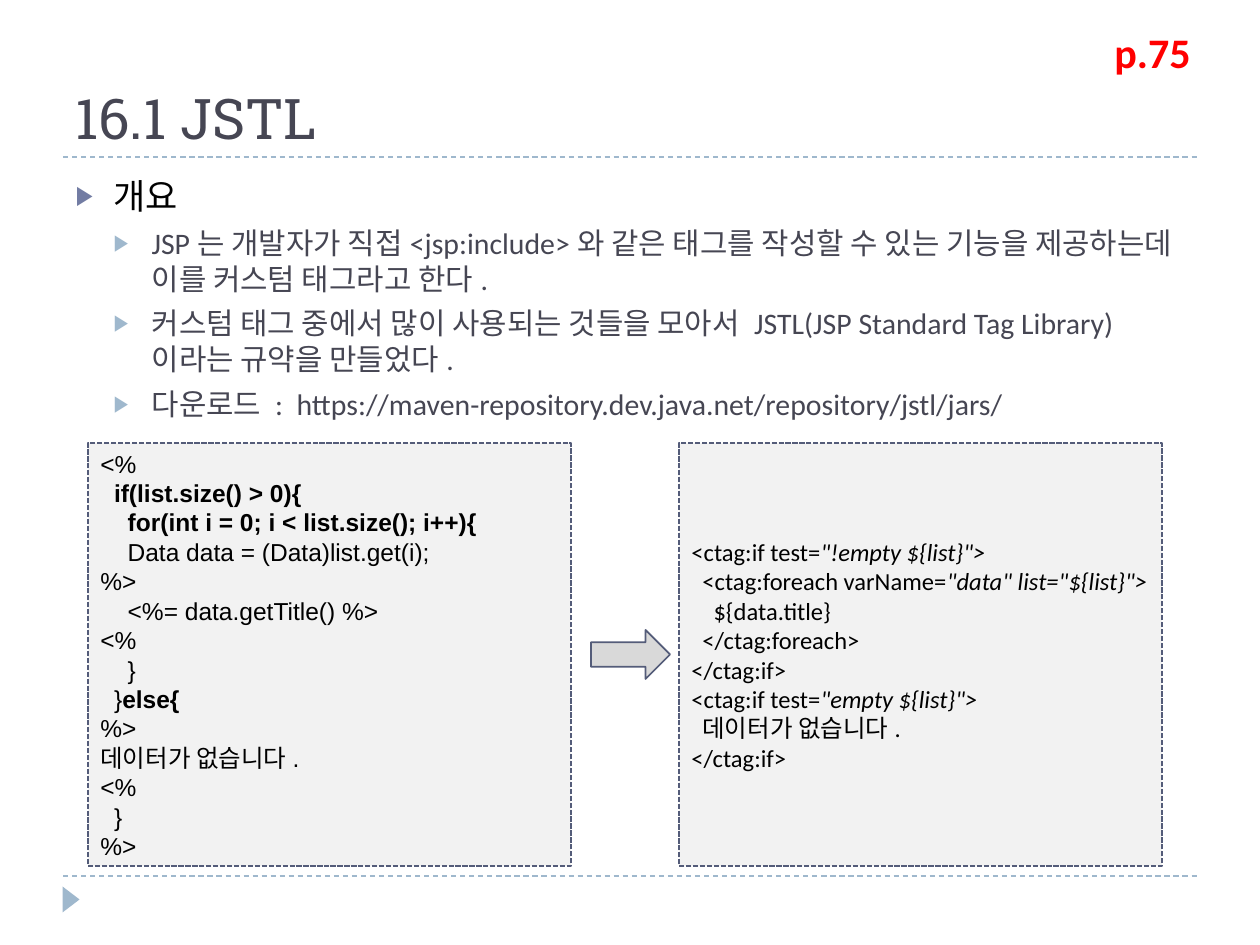
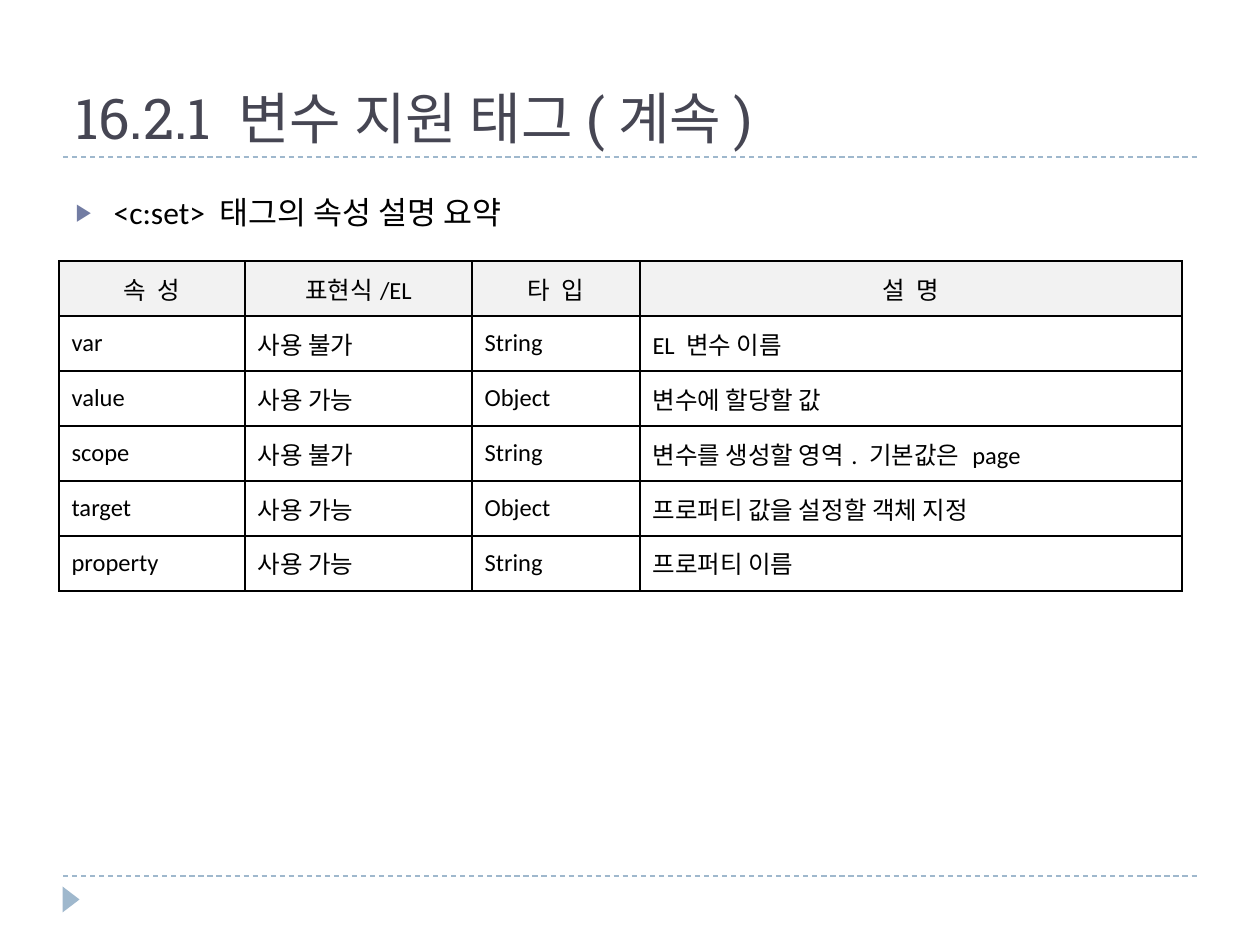
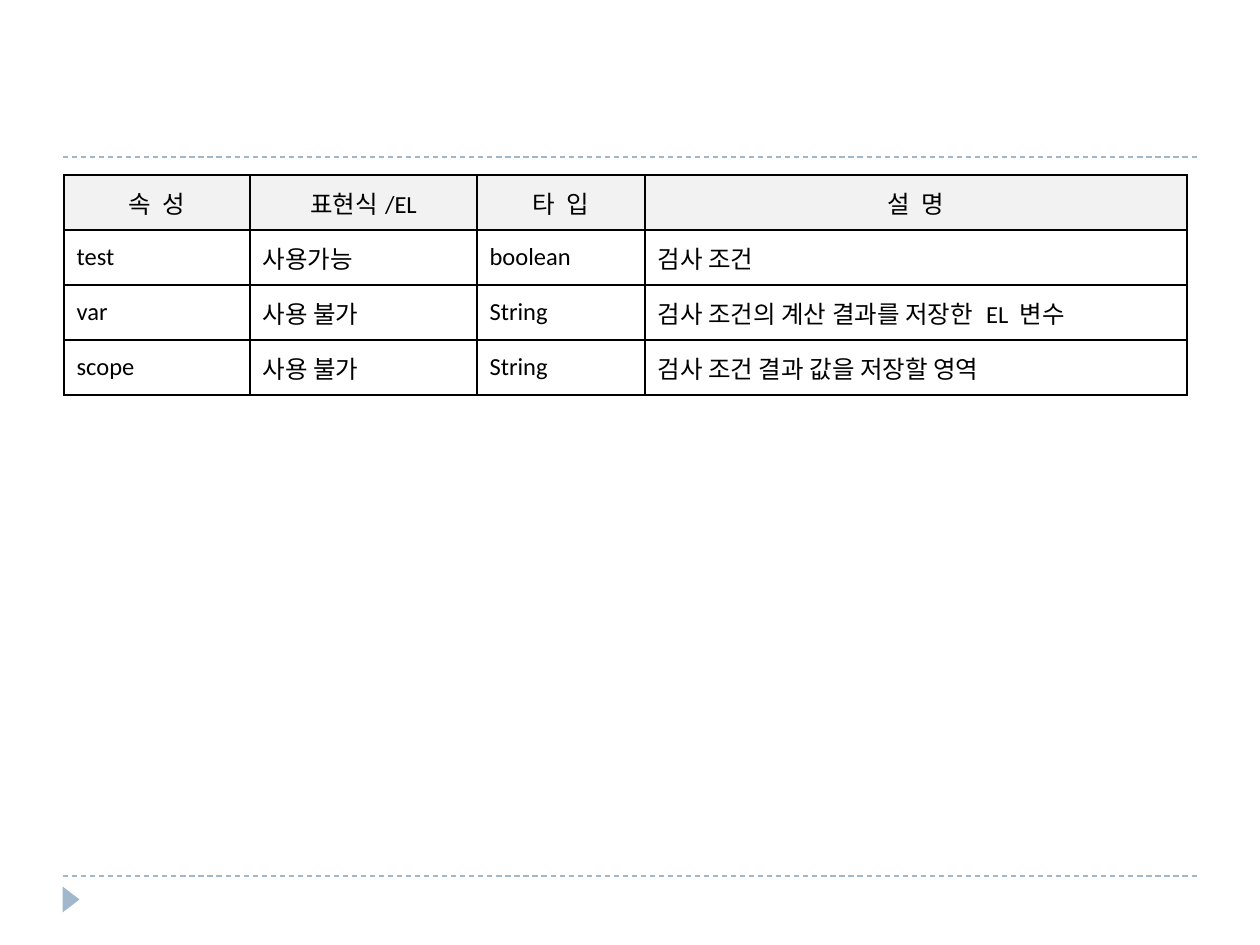
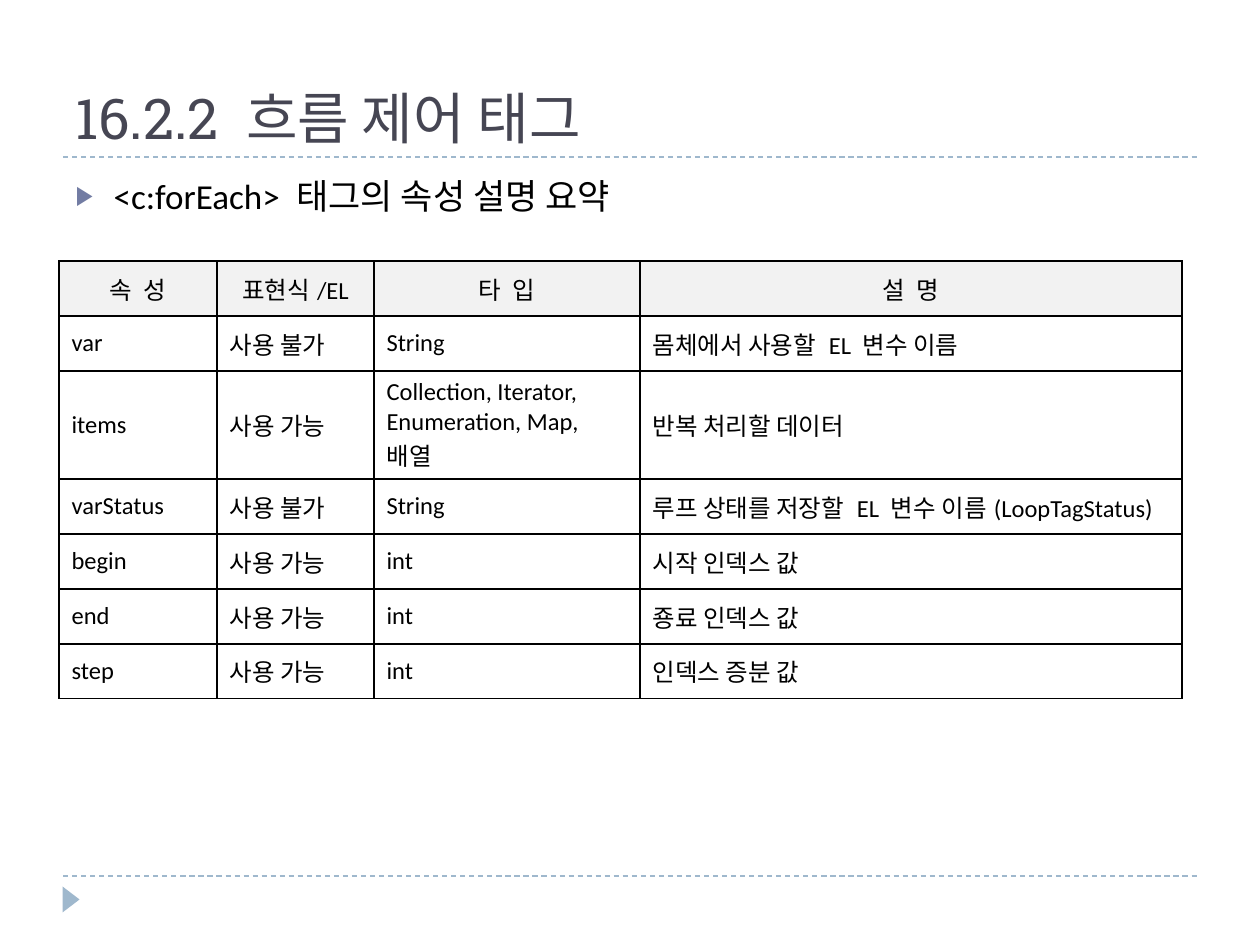
from lxml import etree
from pptx import Presentation
from pptx import util as u
from pptx.dml.color import RGBColor
from pptx.enum import dml, shapes, text
from pptx.oxml import ns

PX = 914400 / 126
SLIDE_W, SLIDE_H = 1260, 945

INK = RGBColor(0x46, 0x46, 0x53)
BLACK = RGBColor(0, 0, 0)
RED = RGBColor(0xFF, 0, 0)
PANEL = RGBColor(0xF2, 0xF2, 0xF2)
ARROW = RGBColor(0xD9, 0xD9, 0xD9)
OUTLINE = RGBColor(0x54, 0x5C, 0x79)
ACCENT = RGBColor(0x72, 0x7C, 0xA3)
PALE_BLUE = RGBColor(0x9F, 0xB8, 0xCD)

TITLE_FONT, BODY_FONT, CODE_FONT = "Roboto Slab", "Calibri", "Arial"
TITLE_BOX = (63, 21, 1134, 136)
BODY_BOX = (63, 168, 1134, 680)
RULE_TOPS = (157, 876)
BULLET_INDENT = 38
ROW_H = 55
# per list level: bullet colour, text colour, space before in points
LEVELS = ((ACCENT, BLACK, 6), (PALE_BLUE, INK, 5))

# "|" surrounds the emphasised part of a code line
JSP_CODE = """<%
  |if(list.size() > 0){|
    |for(int i = 0; i < list.size(); i++){|
    Data data = (Data)list.get(i);
%>
    <%= data.getTitle() %>
<%
    }
  }|else{|
%>
데이터가 없습니다.
<%
  }
%>"""
TAG_CODE = """<ctag:if test=|"!empty ${list}">|
  <ctag:foreach varName=|"data" list="${list}">|
    ${data.title}
  </ctag:foreach>
</ctag:if>
<ctag:if test=|"empty ${list}">|
  데이터가 없습니다.
</ctag:if>"""

HEADINGS = ("속  성", "표현식/EL", "타  입", "설  명")
WIDE_COLUMNS = (186, 227, 168, 542)

SLIDES = [
    {
        "title": "16.1 JSTL",
        "bullets": [
            (0, 20, "개요"),
            (1, 17, "JSP는 개발자가 직접<jsp:include>와 같은 태그를 작성할 수 있는 기능을 "
                    "제공하는데 이를 커스텀 태그라고 한다."),
            (1, 17, "커스텀 태그 중에서 많이 사용되는 것들을 모아서 "
                    "JSTL(JSP Standard Tag Library)이라는 규약을 만들었다."),
            (1, 17, "다운로드 :  https://maven-repository.dev.java.net/repository/jstl/jars/"),
        ],
        "code": [
            (JSP_CODE, (88, 443, 483, 423), CODE_FONT, "bold"),
            (TAG_CODE, (679, 443, 483, 423), BODY_FONT, "italic"),
        ],
        "arrow": (591, 630, 79, 49),
        "page": "p.75",
    },
    {
        "title": "16.2.1 변수 지원 태그(계속)",
        "bullets": [(0, 18, "<c:set> 태그의 속성 설명 요약")],
        "line_spacing": 1.5,
        "table": ((59, 261), WIDE_COLUMNS, [
            ("var", "사용 불가", "String", "EL 변수 이름"),
            ("value", "사용 가능", "Object", "변수에 할당할 값"),
            ("scope", "사용 불가", "String", "변수를 생성할 영역. 기본값은 page"),
            ("target", "사용 가능", "Object", "프로퍼티 값을 설정할 객체 지정"),
            ("property", "사용 가능", "String", "프로퍼티 이름"),
        ]),
    },
    {
        "table": ((64, 175), WIDE_COLUMNS, [
            ("test", "사용가능", "boolean", "검사 조건"),
            ("var", "사용 불가", "String", "검사 조건의 계산 결과를 저장한 EL 변수"),
            ("scope", "사용 불가", "String", "검사 조건 결과 값을 저장할 영역"),
        ]),
    },
    {
        "title": "16.2.2 흐름 제어 태그",
        "bullets": [(0, 20, "<c:forEach> 태그의 속성 설명 요약")],
        "table": ((59, 261), (158, 157, 266, 542), [
            ("var", "사용 불가", "String", "몸체에서 사용할 EL 변수 이름"),
            ("items", "사용 가능", "Collection, Iterator,\nEnumeration, Map, 배열",
             "반복 처리할 데이터"),
            ("varStatus", "사용 불가", "String",
             "루프 상태를 저장할 EL 변수 이름(LoopTagStatus)"),
            ("begin", "사용 가능", "int", "시작 인덱스 값"),
            ("end", "사용 가능", "int", "죵료 인덱스 값"),
            ("step", "사용 가능", "int", "인덱스 증분 값"),
        ]),
    },
]


def emu(*lengths):
    return [round(length * PX) for length in lengths]


def place(shape, box):
    shape.left, shape.top, shape.width, shape.height = emu(*box)


def set_font(paragraph, name, size, color, bold=None):
    font = paragraph.font
    font.name, font.size, font.bold = name, u.Pt(size), bold
    font.color.rgb = color


def add_xml(parent, tag, **attributes):
    return etree.SubElement(parent, ns.qn(tag), attributes)


def add_bullet(paragraph, level, color):
    properties = paragraph._p.get_or_add_pPr()
    indent = emu(BULLET_INDENT)[0]
    properties.set("marL", str(indent * (level + 1)))
    properties.set("indent", str(-indent))
    add_xml(add_xml(properties, "a:buClr"), "a:srgbClr", val=str(color))
    add_xml(properties, "a:buSzPct", val="76000")
    add_xml(properties, "a:buFont", typeface="Arial")
    add_xml(properties, "a:buChar", char="▶")


def add_preset(slide, preset, box, fill, line=None):
    shape = slide.shapes.add_shape(preset, *emu(*box))
    shape.shadow.inherit = False
    shape.fill.solid()
    shape.fill.fore_color.rgb = fill
    if line is None:
        shape.line.fill.background()
    else:
        shape.line.color.rgb = line
        shape.line.width = u.Pt(1)
    return shape


def add_frame(slide):
    """Draw the dashed rules and the corner marker shared by all slides."""
    for top in RULE_TOPS:
        rule = slide.shapes.add_connector(
            shapes.MSO_CONNECTOR.STRAIGHT, *emu(63, top, 1197, top))
        rule.line.color.rgb = PALE_BLUE
        rule.line.width = u.Pt(0.75)
        rule.line.dash_style = dml.MSO_LINE.DASH
        add_xml(rule._element.spPr, "a:effectLst")
    marker = add_preset(slide, shapes.MSO_SHAPE.ISOSCELES_TRIANGLE,
                        (58, 891, 26, 17), PALE_BLUE)
    marker.rotation = 90


def fill_title(title, wording):
    place(title, TITLE_BOX)
    frame = title.text_frame
    frame.text = wording
    frame.auto_size = text.MSO_AUTO_SIZE.NONE
    frame.vertical_anchor = text.MSO_ANCHOR.BOTTOM
    paragraph = frame.paragraphs[0]
    paragraph.alignment = text.PP_ALIGN.LEFT
    set_font(paragraph, TITLE_FONT, 32, INK)


def fill_body(body, bullets, line_spacing):
    place(body, BODY_BOX)
    frame = body.text_frame
    frame.text = "\n".join(wording for _, _, wording in bullets)
    frame.auto_size = text.MSO_AUTO_SIZE.NONE
    for index, (paragraph, (level, size, _)) in enumerate(zip(frame.paragraphs, bullets)):
        bullet_color, color, space = LEVELS[level]
        paragraph.level = level
        add_bullet(paragraph, level, bullet_color)
        paragraph.space_before = u.Pt(space if index else 0)
        paragraph.line_spacing = line_spacing
        set_font(paragraph, BODY_FONT, size, color)


def add_code(slide, code, box, font_name, emphasis):
    panel = add_preset(slide, shapes.MSO_SHAPE.RECTANGLE, box, PANEL, OUTLINE)
    panel.line.dash_style = dml.MSO_LINE.SQUARE_DOT
    frame = panel.text_frame
    frame.word_wrap = True
    frame.vertical_anchor = text.MSO_ANCHOR.MIDDLE
    for index, line in enumerate(code.split("\n")):
        paragraph = frame.add_paragraph() if index else frame.paragraphs[0]
        paragraph.alignment = text.PP_ALIGN.LEFT
        set_font(paragraph, font_name, 14, BLACK)
        for part_index, part in enumerate(line.split("|")):
            if part:
                run = paragraph.add_run()
                run.text = part
                if part_index % 2:
                    setattr(run.font, emphasis, True)


def add_page_mark(slide, wording):
    frame = slide.shapes.add_textbox(*emu(1102, 20, 109, 63)).text_frame
    frame.word_wrap = True
    frame.auto_size = text.MSO_AUTO_SIZE.SHAPE_TO_FIT_TEXT
    frame.text = wording
    set_font(frame.paragraphs[0], BODY_FONT, 24, RED, bold=True)


def add_borders(cell):
    properties = cell._tc.get_or_add_tcPr()
    for side in ("a:lnL", "a:lnR", "a:lnT", "a:lnB"):
        border = add_xml(properties, side, w=str(u.Pt(1)))
        add_xml(add_xml(border, "a:solidFill"), "a:srgbClr", val=str(BLACK))


def add_attribute_table(slide, corner, widths, records):
    rows = [HEADINGS, *records]
    box = (*corner, sum(widths), ROW_H * len(rows))
    table = slide.shapes.add_table(len(rows), len(widths), *emu(*box)).table
    table.first_row = table.horz_banding = False
    for column, width in zip(table.columns, emu(*widths)):
        column.width = width
    for row_index, row in enumerate(rows):
        table.rows[row_index].height = emu(ROW_H)[0]
        for column_index, wording in enumerate(row):
            cell = table.cell(row_index, column_index)
            cell.text = wording
            cell.vertical_anchor = text.MSO_ANCHOR.MIDDLE
            add_borders(cell)
            if row_index == 0:
                cell.fill.solid()
                cell.fill.fore_color.rgb = PANEL
            else:
                cell.fill.background()
            for paragraph in cell.text_frame.paragraphs:
                paragraph.alignment = (text.PP_ALIGN.LEFT if row_index
                                       else text.PP_ALIGN.CENTER)
                set_font(paragraph, BODY_FONT, 14, BLACK)


def build_slide(presentation, content):
    has_title = "title" in content
    slide = presentation.slides.add_slide(presentation.slide_layouts[1 if has_title else 6])
    add_frame(slide)
    if has_title:
        fill_title(slide.shapes.title, content["title"])
        fill_body(slide.placeholders[1], content["bullets"], content.get("line_spacing", 1.0))
    for panel in content.get("code", ()):
        add_code(slide, *panel)
    if "arrow" in content:
        add_preset(slide, shapes.MSO_SHAPE.RIGHT_ARROW, content["arrow"], ARROW, OUTLINE)
    if "page" in content:
        add_page_mark(slide, content["page"])
    if "table" in content:
        add_attribute_table(slide, *content["table"])


def main():
    presentation = Presentation()
    presentation.slide_width, presentation.slide_height = emu(SLIDE_W, SLIDE_H)
    for content in SLIDES:
        build_slide(presentation, content)
    presentation.save("out.pptx")


if __name__ == "__main__":
    main()
